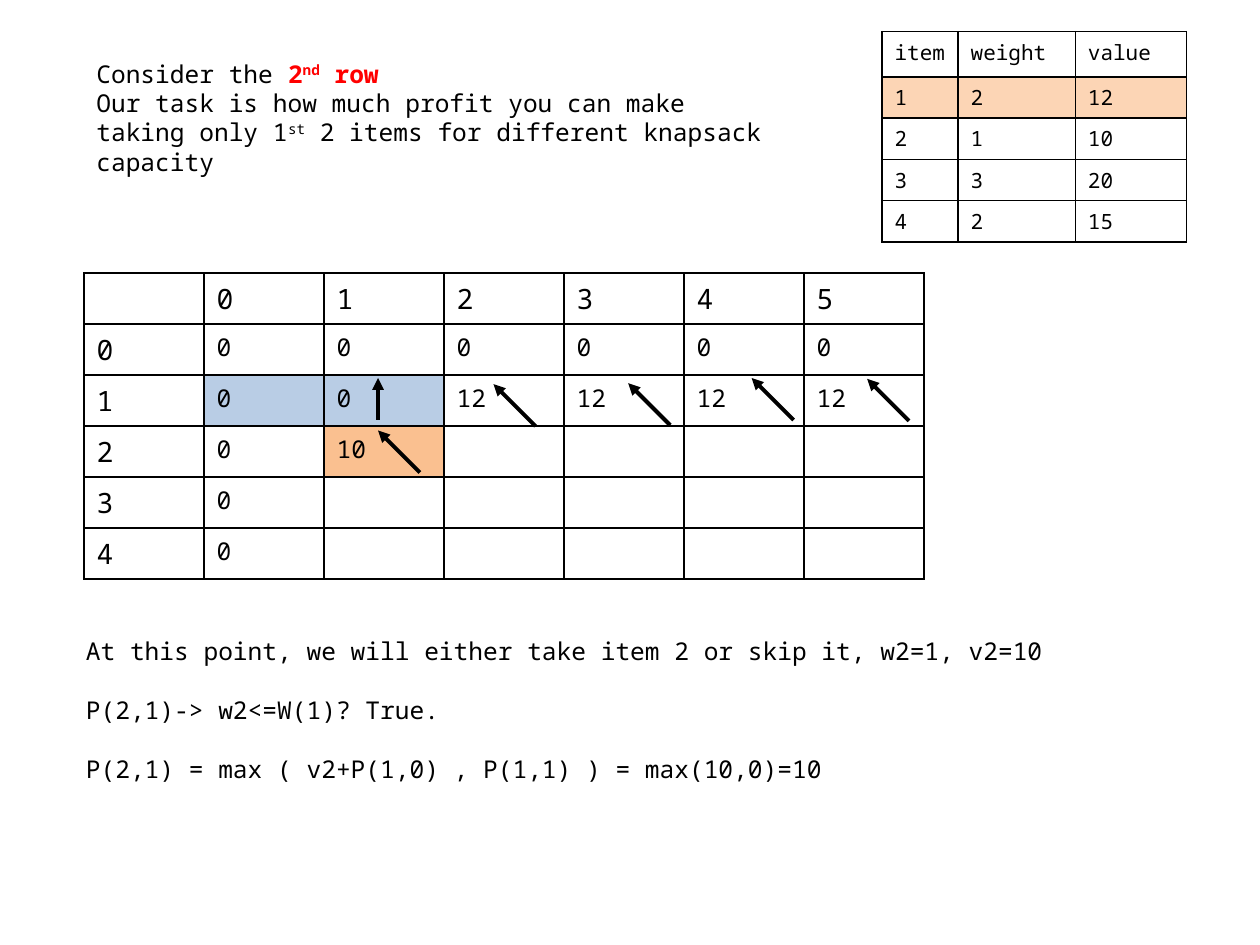
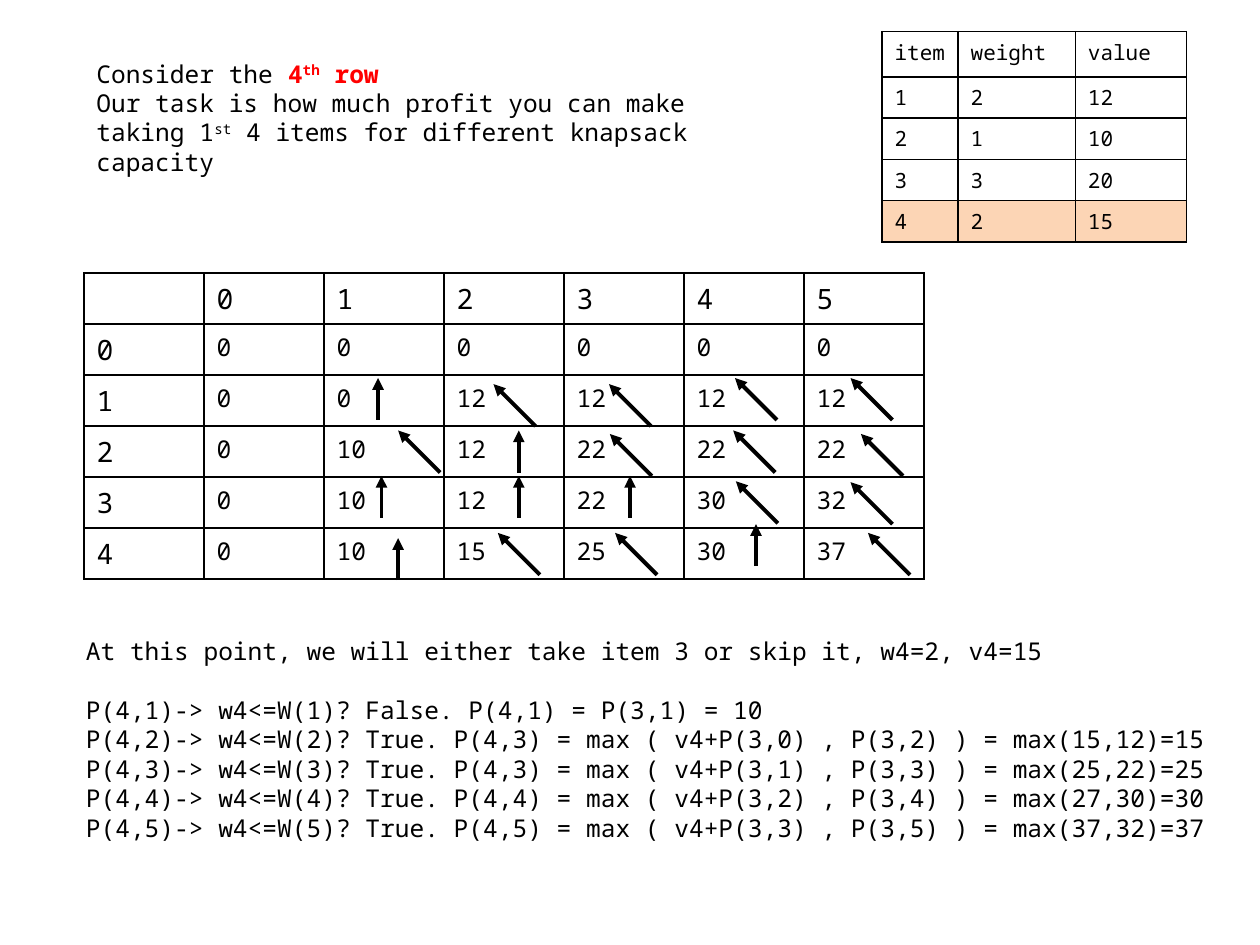
from dataclasses import dataclass

from pptx import Presentation
from pptx.dml.color import RGBColor as Color
from pptx.enum.shapes import MSO_CONNECTOR as Connector
from pptx.oxml.ns import qn
from pptx.util import Pt
from lxml.etree import SubElement

# Content
ITEMS = [
    ("item", "weight", "value"),
    (1, 2, 12),
    (2, 1, 10),
    (3, 3, 20),
    (4, 2, 15),
]
CAPACITIES = range(6)

# Arrows are (direction, tip x, tip y); highlights are (row, column) in a table
STEPS = [
    {
        "row": ("2", "nd"),
        "task": ("taking only 1", " 2 items"),
        "item_row": 1,
        "profits": [[0] * 6, [0, 0, 12, 12, 12, 12], [0, 10], [0], [0]],
        "compared": [(2, 1), (2, 2)],
        "result": [(3, 2)],
        "arrows": [
            ("up", 216, 216), ("diagonal", 282, 219.5), ("diagonal", 359, 219),
            ("diagonal", 429.5, 216), ("diagonal", 495.5, 216.5),
            ("diagonal", 216, 246),
        ],
        "question": "At this point, we will either take item 2 or skip it, w2=1, v2=10",
        "reasoning": [
            "P(2,1)-> w2<=W(1)? True.",
            "P(2,1) = max ( v2+P(1,0) , P(1,1) ) = max(10,0)=10",
        ],
        "spaced": True,
    },
    {
        "row": ("4", "th"),
        "task": ("taking 1", " 4 items"),
        "item_row": 4,
        "profits": [
            [0] * 6,
            [0, 0, 12, 12, 12, 12],
            [0, 10, 12, 22, 22, 22],
            [0, 10, 12, 22, 30, 32],
            [0, 10, 15, 25, 30, 37],
        ],
        "compared": [],
        "result": [],
        "arrows": [
            ("up", 216, 216), ("diagonal", 282, 219.5), ("diagonal", 348, 219.5),
            ("diagonal", 420, 216), ("diagonal", 486, 216),
            ("diagonal", 227.5, 246), ("up", 296.5, 246), ("diagonal", 348.5, 248),
            ("diagonal", 419, 246), ("diagonal", 492, 248),
            ("up", 218, 272), ("up", 296.5, 272), ("up", 360, 272),
            ("diagonal", 420.5, 275), ("diagonal", 486, 275.5),
            ("up", 227.5, 307.5), ("diagonal", 284.5, 304.5),
            ("diagonal", 351.5, 304.5), ("up", 432, 299.5), ("diagonal", 496, 304.5),
        ],
        "question": "At this point, we will either take item 3 or skip it, w4=2, v4=15",
        "reasoning": [
            "P(4,1)-> w4<=W(1)? False. P(4,1) = P(3,1) = 10",
            "P(4,2)-> w4<=W(2)? True. P(4,3) = max ( v4+P(3,0) , P(3,2) ) = max(15,12)=15",
            "P(4,3)-> w4<=W(3)? True. P(4,3) = max ( v4+P(3,1) , P(3,3) ) = max(25,22)=25",
            "P(4,4)-> w4<=W(4)? True. P(4,4) = max ( v4+P(3,2) , P(3,4) ) = max(27,30)=30",
            "P(4,5)-> w4<=W(5)? True. P(4,5) = max ( v4+P(3,3) , P(3,5) ) = max(37,32)=37",
        ],
        "spaced": False,
    },
]


@dataclass(frozen=True)
class Theme:
    font: str = "Noto Sans Mono"
    ink: str = "000000"
    paper: str = "FFFFFF"
    accent: str = "FF0000"
    current_item: str = "FCD5B5"
    compared: str = "B9CDE5"
    result: str = "FAC090"
    small: float = 12
    body: float = 14
    label: float = 16
    line_gap: float = 16.8
    border: float = 1
    arrow: float = 2.25
    arrow_length: float = 24


THEME = Theme()


def style(para, size):
    para.font.name = THEME.font
    para.font.size = Pt(size)
    para.font.color.rgb = Color.from_string(THEME.ink)


def add_border(cell):
    properties = cell._tc.get_or_add_tcPr()
    for side in ("a:lnL", "a:lnR", "a:lnT", "a:lnB"):
        line = SubElement(properties, qn(side), w=str(Pt(THEME.border)))
        fill = SubElement(line, qn("a:solidFill"))
        SubElement(fill, qn("a:srgbClr"), val=THEME.ink)


def add_grid(page, left, top, widths, heights, rows, size_at, fills):
    """Draw a bordered table; fills maps (row, column) to a colour."""
    frame = page.shapes.add_table(len(heights), len(widths), Pt(left), Pt(top),
                                  Pt(sum(widths)), Pt(sum(heights)))
    table = frame.table
    table.first_row = table.horz_banding = False
    for column, width in zip(table.columns, widths):
        column.width = Pt(width)
    for row, height in zip(table.rows, heights):
        row.height = Pt(height)
    for r in range(len(heights)):
        for c in range(len(widths)):
            cell = table.cell(r, c)
            if c < len(rows[r]):
                cell.text = str(rows[r][c])
            style(cell.text_frame.paragraphs[0], size_at(r, c))
            add_border(cell)
            cell.fill.solid()
            cell.fill.fore_color.rgb = Color.from_string(fills.get((r, c), THEME.paper))


def add_text(page, left, top, width, height, paragraphs):
    """Each paragraph is a list of (text, marks); marks may be bold red or raised."""
    box = page.shapes.add_textbox(Pt(left), Pt(top), Pt(width), Pt(height))
    frame = box.text_frame
    frame.word_wrap = True
    for index, spans in enumerate(paragraphs):
        para = frame.add_paragraph() if index else frame.paragraphs[0]
        style(para, THEME.body)
        for text, marks in spans:
            span = para.add_run()
            span.text = text
            if "accent" in marks:
                span.font.bold = True
                span.font.color.rgb = Color.from_string(THEME.accent)
            if "raised" in marks:
                span._r.get_or_add_rPr().set("baseline", "30000")
    return frame.paragraphs


def add_arrow(page, direction, x, y):
    length = THEME.arrow_length
    start_x = x + (length if direction == "diagonal" else 0)
    arrow = page.shapes.add_connector(Connector.STRAIGHT, Pt(start_x), Pt(y + length),
                                      Pt(x), Pt(y))
    arrow.line.width = Pt(THEME.arrow)
    arrow.line.color.rgb = Color.from_string(THEME.ink)
    SubElement(arrow.line._get_or_add_ln(), qn("a:tailEnd"), type="triangle")
    SubElement(arrow._element.spPr, qn("a:effectLst"))


def add_heading(page, step):
    number, suffix = step["row"]
    task, count = step["task"]
    add_text(page, 48, 30, 408, 75, [
        [("Consider the ", ()), (number, ("accent",)),
         (suffix, ("accent", "raised")), (" row", ("accent",))],
        [("Our task is how much profit you can make " + task, ()), ("st", ("raised",)),
         (count + " for different knapsack capacity", ())],
    ])


def add_reasoning(page, step):
    lines = [step["question"], *step["reasoning"]]
    paragraphs = add_text(page, 42, 360, 660, 143, [[(line, ())] for line in lines])
    for index, para in enumerate(paragraphs):
        if index == 1 or (index and step["spaced"]):
            para.space_before = Pt(THEME.line_gap)


def build_step(page, step):
    # Items, with the current one tinted
    item_fills = {(step["item_row"], c): THEME.current_item for c in range(3)}
    add_grid(page, 504, 18, [43.5, 67, 63.5], [26] + [23.5] * 4, ITEMS,
             lambda r, c: THEME.small, item_fills)

    # Profit by item row and capacity column
    rows = [["", *CAPACITIES]]
    rows += [[label, *profits] for label, profits in enumerate(step["profits"])]
    profit_fills = dict.fromkeys(step["compared"], THEME.compared)
    profit_fills.update(dict.fromkeys(step["result"], THEME.result))
    add_grid(page, 48, 156, [480 / 7] * 7, [175 / 6] * 6, rows,
             lambda r, c: THEME.body if r and c else THEME.label, profit_fills)

    # Text, then the arrows to the cells each profit came from
    add_heading(page, step)
    add_reasoning(page, step)
    for arrow in step["arrows"]:
        add_arrow(page, *arrow)


def main():
    deck = Presentation()
    deck.slide_width, deck.slide_height = Pt(720), Pt(540)
    for step in STEPS:
        build_step(deck.slides.add_slide(deck.slide_layouts[6]), step)
    deck.save("out.pptx")


if __name__ == "__main__":
    main()
